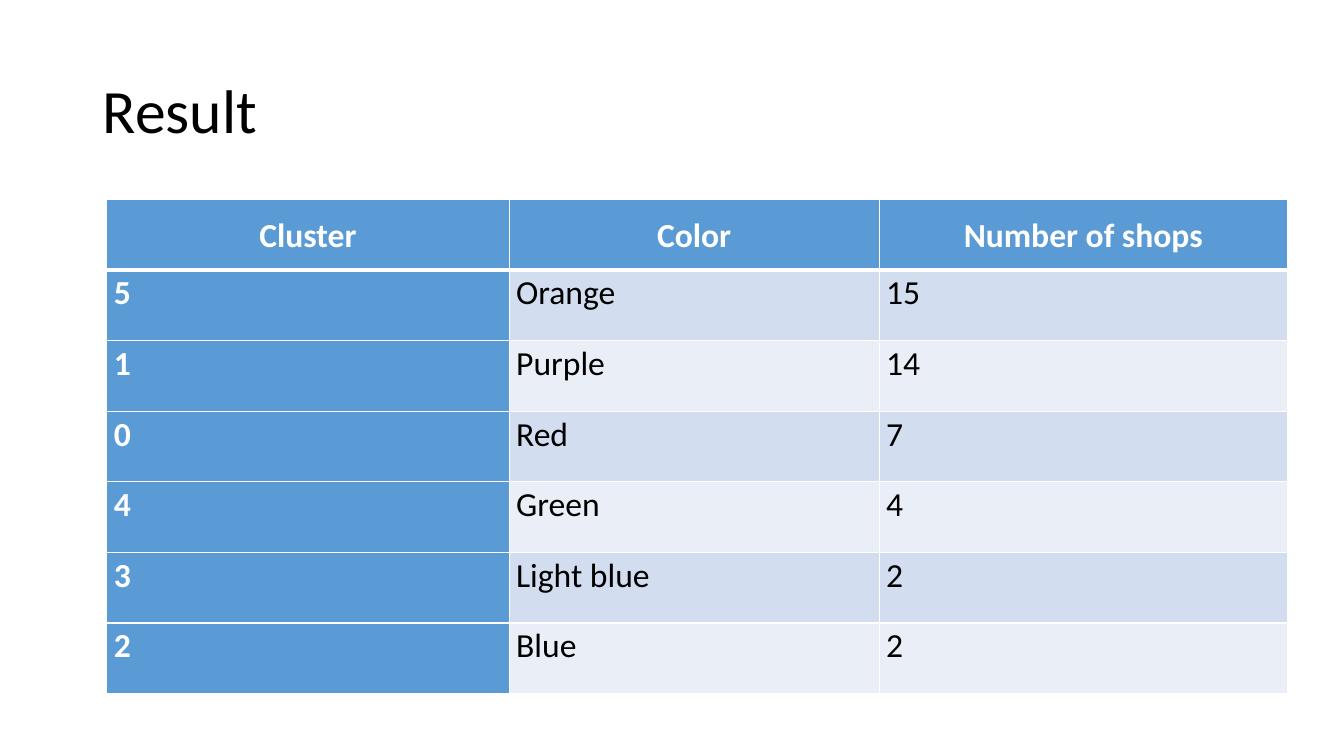
from dataclasses import dataclass

from lxml.etree import SubElement
from pptx import Presentation
from pptx.dml.color import RGBColor as RGB
from pptx.enum.text import MSO_ANCHOR as Anchor, PP_ALIGN as Align
from pptx.oxml.ns import qn
from pptx.util import Inches, Pt


@dataclass(frozen=True)
class Theme:
    font: str = "Calibri"
    title_size: int = 44
    table_size: int = 24
    ink: str = "000000"
    white: str = "FFFFFF"
    accent: str = "5B9BD5"
    bands: tuple = ("D2DEEF", "EAEFF7")
    rule: int = 1
    header_rule: int = 3


THEME = Theme()
HEADERS = ("Cluster", "Color", "Number of shops")
CLUSTERS = (
    ("5", "Orange", "15"),
    ("1", "Purple", "14"),
    ("0", "Red", "7"),
    ("4", "Green", "4"),
    ("3", "Light blue", "2"),
    ("2", "Blue", "2"),
)
COLUMN_WIDTHS = (3.99, 3.67, 4.05)


def style_text(paragraph, size, color, spacing, align, bold=False):
    paragraph.alignment = align
    paragraph.line_spacing = spacing
    font = paragraph.font
    font.name, font.size, font.bold = THEME.font, Pt(size), bold
    font.color.rgb = RGB.from_string(color)


def add_borders(cell, top, bottom):
    """Draw white rules; call before the fill, which must follow them."""
    properties = cell._tc.get_or_add_tcPr()
    widths = {"L": THEME.rule, "R": THEME.rule, "T": top, "B": bottom}
    for side, width in widths.items():
        line = SubElement(properties, qn(f"a:ln{side}"), w=str(Pt(width)))
        color = SubElement(line, qn("a:solidFill"))
        SubElement(color, qn("a:srgbClr"), val=THEME.white)


def fill_cell(cell, words, row, column):
    is_header = row == 0
    is_accent = is_header or column == 0
    add_borders(
        cell,
        top=THEME.header_rule if row == 1 else THEME.rule,
        bottom=THEME.header_rule if is_header else THEME.rule,
    )
    cell.fill.solid()
    band = THEME.bands[(row - 1) % 2]
    cell.fill.fore_color.rgb = RGB.from_string(THEME.accent if is_accent else band)
    cell.margin_left = cell.margin_right = Inches(0.07)
    cell.margin_top = cell.margin_bottom = 0
    cell.vertical_anchor = Anchor.MIDDLE if is_header else Anchor.TOP
    cell.text = words
    style_text(
        cell.text_frame.paragraphs[0],
        THEME.table_size,
        THEME.white if is_accent else THEME.ink,
        1.07,
        Align.CENTER if is_header else Align.JUSTIFY,
        bold=is_accent,
    )


def place_title(slide, words, left, top, width, height):
    title = slide.shapes.title
    title.left, title.top = Inches(left), Inches(top)
    title.width, title.height = Inches(width), Inches(height)
    title.text = words
    title.text_frame.vertical_anchor = Anchor.MIDDLE
    style_text(title.text_frame.paragraphs[0], THEME.title_size, THEME.ink,
               0.9, Align.LEFT)


def place_cluster_table(slide, left, top, width, height):
    rows = (HEADERS, *CLUSTERS)
    table = slide.shapes.add_table(
        len(rows), len(HEADERS),
        Inches(left), Inches(top), Inches(width), Inches(height),
    ).table
    table.first_col = True
    for column, share in zip(table.columns, COLUMN_WIDTHS):
        column.width = Inches(width * share / sum(COLUMN_WIDTHS))
    for r, row in enumerate(rows):
        for c, words in enumerate(row):
            fill_cell(table.cell(r, c), words, r, c)


def main():
    deck = Presentation()
    deck.slide_width, deck.slide_height = Inches(13.33), Inches(7.5)
    slide = deck.slides.add_slide(deck.slide_layouts[5])  # Title Only

    # Heading
    place_title(slide, "Result", 0.92, 0.4, 11.5, 1.45)
    # Shops per cluster
    place_cluster_table(slide, 1.06, 1.98, 11.71, 4.9)

    deck.save("out.pptx")


if __name__ == "__main__":
    main()
